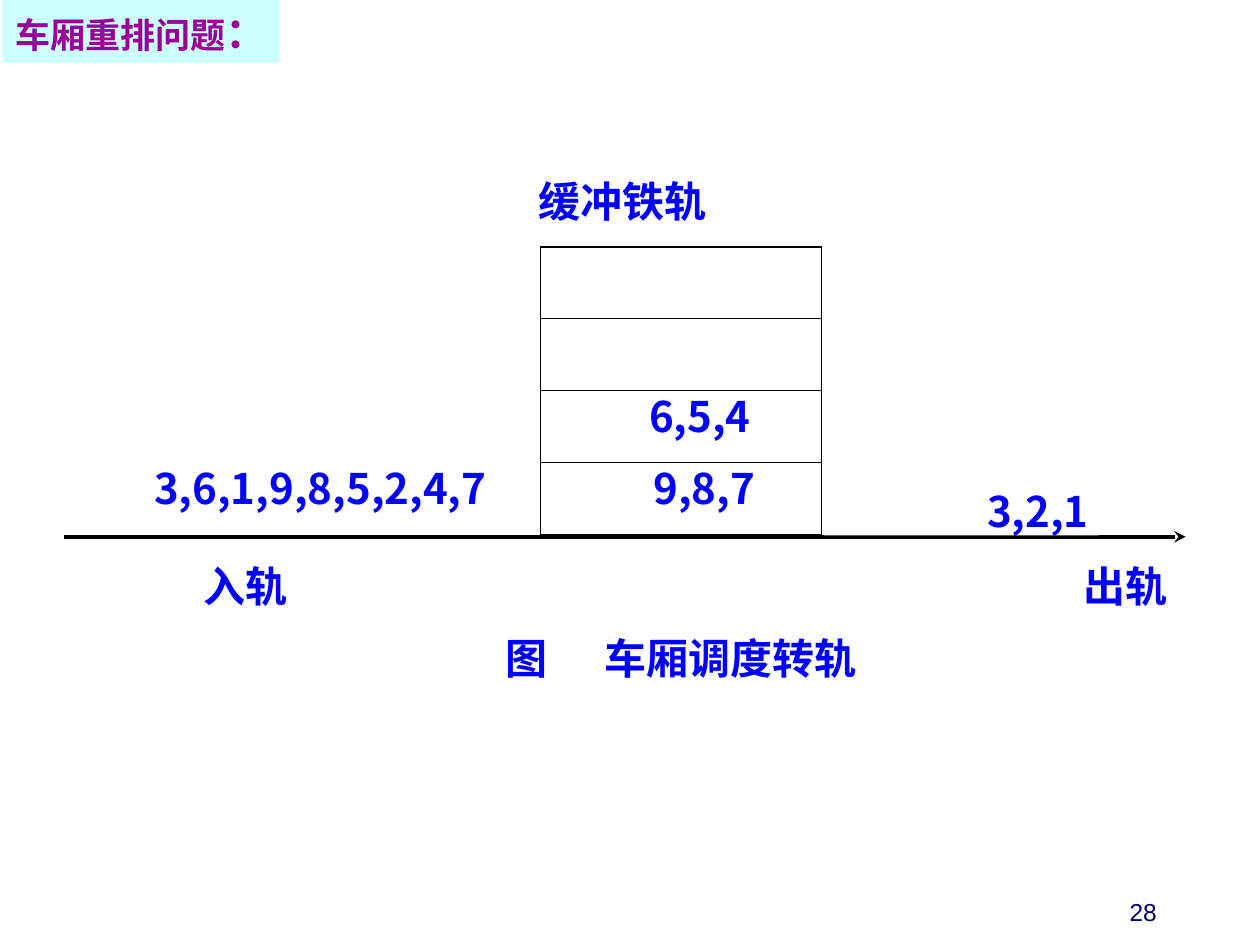
"""Build the slide that shows railway cars rearranged through buffer tracks."""
from lxml.etree import SubElement
from pptx import Presentation
from pptx.dml.color import RGBColor
from pptx.enum.shapes import MSO_CONNECTOR as Connector, MSO_SHAPE as Shape
from pptx.enum.text import MSO_ANCHOR as Anchor, PP_ALIGN as Align
from pptx.oxml.ns import qn
from pptx.util import Inches, Pt

BLUE, BLACK, WHITE = "0000FF", "000000", "FFFFFF"
PURPLE, CYAN, NAVY = "990099", "CCFFFF", "000066"
SANS, SERIF = "Noto Sans CJK SC", "Times New Roman"

TITLE = [("车厢重排问题", 20), ("：", 24)]
PAGE_NUMBER = "28"
BUFFER_TRACKS = [("", 0), ("", 0), ("6,5,4", 0.3), ("9,8,7", 0.37)]
BUFFER_LEFT, BUFFER_TOP, BUFFER_WIDTH, BUFFER_HEIGHT = 4.29, 1.96, 2.23, 0.57
CAPTION_INDENT, CAPTION_TAB = 0.37, 0.79
LABELS = [
    ("入轨", (1.47, 4.45, 0.96, 0.38), SERIF, Align.CENTER, (0, 0)),
    ("出轨", (8.45, 4.45, 0.96, 0.38), SERIF, Align.CENTER, (0, 0)),
    ("缓冲铁轨", (4.22, 1.39, 1.44, 0.38), SERIF, Align.CENTER, (0, 0)),
    ("3,6,1,9,8,5,2,4,7", (0.98, 3.67, 2.88, 0.38), SANS, Align.RIGHT, (0, 0)),
    ("3,2,1", (6.54, 3.85, 2.18, 0.4), SANS, Align.RIGHT, (0, 0.08)),
    ("图\t车厢调度转轨", (3.64, 5.02, 3.61, 0.38), SERIF, Align.LEFT, (CAPTION_INDENT, 0)),
]


def color(value):
    return RGBColor.from_string(value)


def format_run(run, font_name, size, hex_color, bold=True):
    run.font.name, run.font.size, run.font.bold = font_name, Pt(size), bold
    run.font.color.rgb = color(hex_color)


def add_box(slide, text, box, font_name, align, insets, outlined=False):
    shape = slide.shapes.add_shape(Shape.RECTANGLE, *map(Inches, box))
    shape.shadow.inherit = False
    shape.fill.solid()
    shape.fill.fore_color.rgb = color(WHITE)
    if outlined:
        shape.line.color.rgb = color(BLACK)
        shape.line.width = Pt(0.75)
    else:
        shape.line.fill.background()
    if not text:
        return
    frame = shape.text_frame
    frame.margin_left, frame.margin_right = map(Inches, insets)
    frame.margin_top = frame.margin_bottom = 0
    frame.vertical_anchor = Anchor.TOP
    frame.word_wrap = True
    frame.text = text
    paragraph = frame.paragraphs[0]
    paragraph.alignment = align
    if "\t" in text:
        tabs = SubElement(paragraph._p.get_or_add_pPr(), qn("a:tabLst"))
        SubElement(tabs, qn("a:tab"), pos=str(Inches(CAPTION_TAB)), algn="l")
    for run in paragraph.runs:
        format_run(run, font_name, 24, BLUE)


def add_main_track(slide):
    track = slide.shapes.add_connector(
        Connector.STRAIGHT, Inches(0.51), Inches(4.26), Inches(9.41), Inches(4.26))
    track.line.color.rgb = color(BLACK)
    track.line.width = Pt(2.25)
    SubElement(track.line._get_or_add_ln(), qn("a:tailEnd"), type="stealth")
    SubElement(track._element.spPr, qn("a:effectLst"))


def add_title(slide):
    title = slide.shapes.title
    title.left, title.top, title.width, title.height = map(Inches, (0.02, 0, 2.2, 0.5))
    title.fill.solid()
    title.fill.fore_color.rgb = color(CYAN)
    frame = title.text_frame
    frame.word_wrap = False
    frame.vertical_anchor = Anchor.TOP
    paragraph = frame.paragraphs[0]
    paragraph.alignment = Align.LEFT
    for text, size in TITLE:
        run = paragraph.add_run()
        run.text = text
        format_run(run, "Montserrat", size, PURPLE)


def add_page_number(slide):
    frame = slide.shapes.add_textbox(*map(Inches, (7.2, 6.9, 2.08, 0.5))).text_frame
    frame.word_wrap = True
    frame.vertical_anchor = Anchor.BOTTOM
    frame.text = PAGE_NUMBER
    paragraph = frame.paragraphs[0]
    paragraph.alignment = Align.RIGHT
    format_run(paragraph.runs[0], "Arial", 14, NAVY, bold=False)


def main():
    presentation = Presentation()
    presentation.slide_width, presentation.slide_height = Inches(10), Inches(7.5)
    slide = presentation.slides.add_slide(presentation.slide_layouts[5])
    add_title(slide)
    add_main_track(slide)
    for row, (cars, inset) in reversed(list(enumerate(BUFFER_TRACKS))):
        box = (BUFFER_LEFT, BUFFER_TOP + row * BUFFER_HEIGHT, BUFFER_WIDTH, BUFFER_HEIGHT)
        add_box(slide, cars, box, SANS, Align.CENTER, (inset, 0), outlined=True)
    for label in LABELS:
        add_box(slide, *label)
    add_page_number(slide)
    presentation.save("out.pptx")


if __name__ == "__main__":
    main()
